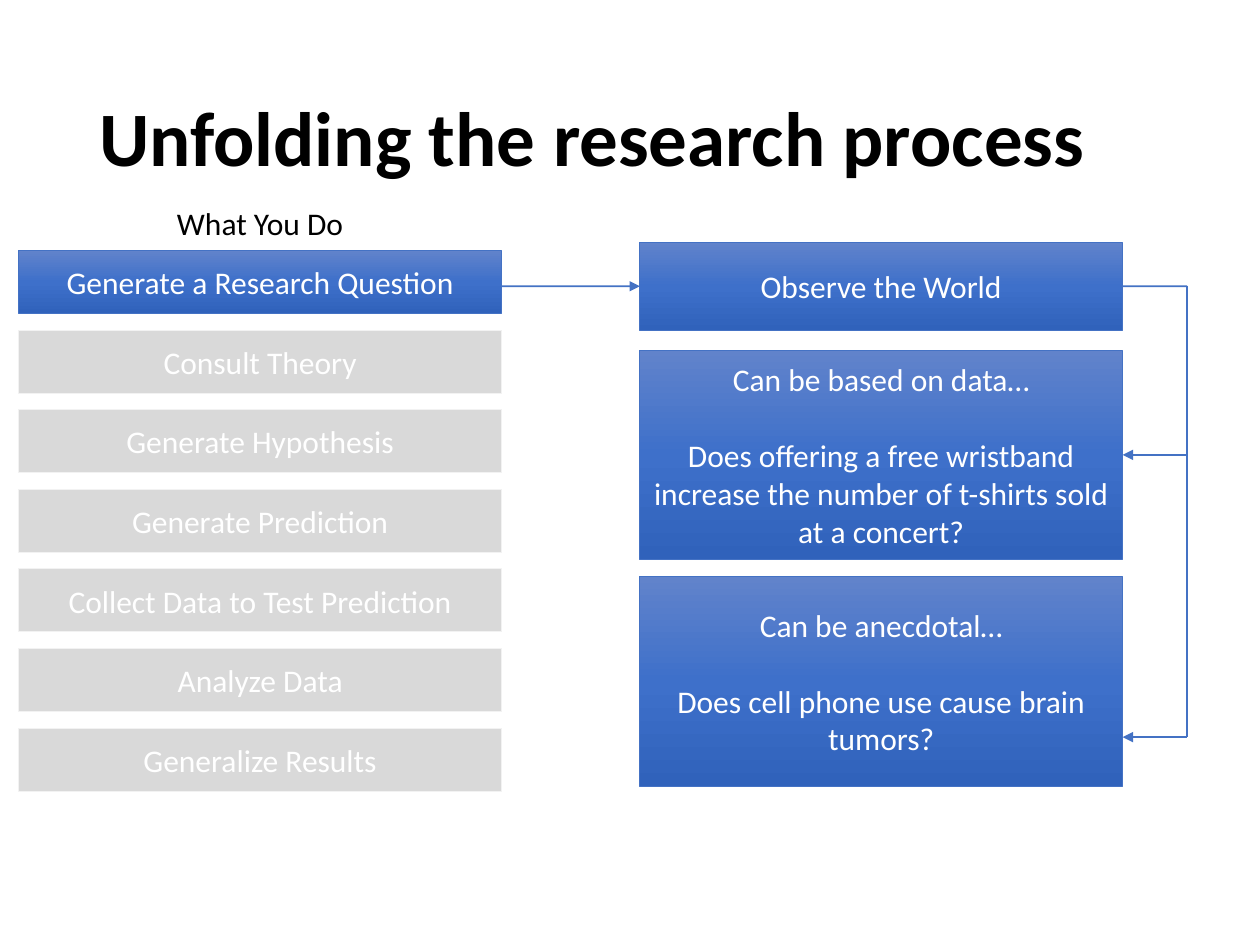
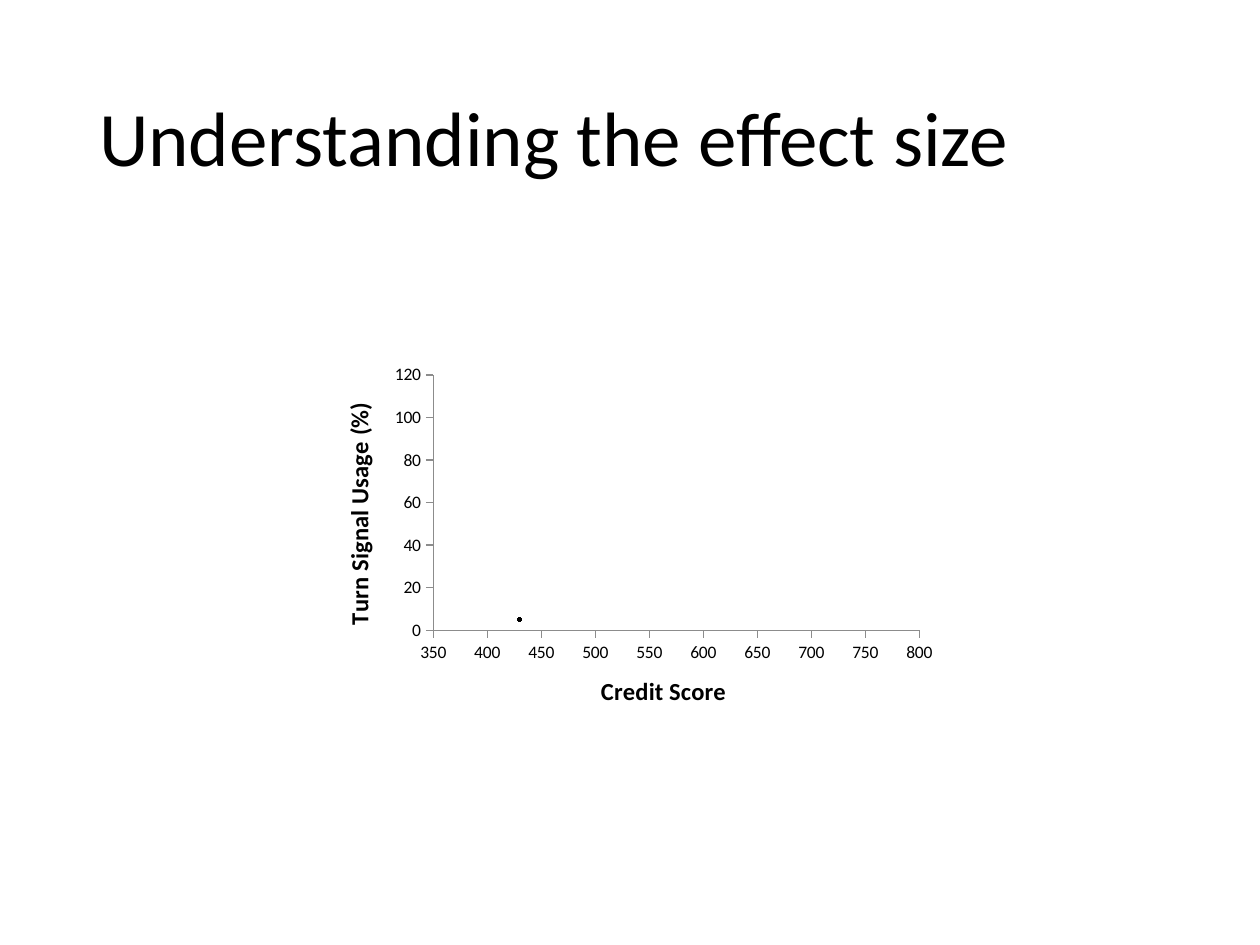
from pptx import Presentation
from pptx.chart.data import XyChartData
from pptx.dml.color import RGBColor
from pptx.enum.chart import XL_CHART_TYPE as ChartType, XL_MARKER_STYLE as Marker, XL_TICK_MARK as Tick
from pptx.enum.shapes import MSO_CONNECTOR as Connector, MSO_SHAPE as Shape
from pptx.enum.text import MSO_ANCHOR as Anchor, PP_ALIGN as Align
from pptx.oxml.ns import qn
from pptx.util import Cm, Pt
from lxml.etree import SubElement

FONT = "Calibri"
COLORS = {
    "ink": "000000", "white": "FFFFFF", "blue": "4472C4",
    "blue_top": "6183CB", "blue_mid": "3E70CA", "blue_bottom": "3062BB",
    "grey": "D9D9D9", "grey_edge": "F2F2F2", "axis": "8C8C8C",
}

# Process diagram, in cm
BOX_W = 9.73
STEP_X, STEP_TOP, STEP_LAST, STEP_H = 0.38, 5.05, 14.68, 1.27
DETAIL_X = 12.9
RAIL_X = 23.93
STEPS = ["Generate a Research Question", "Consult Theory", "Generate Hypothesis",
         "Generate Prediction", "Collect Data to Test Prediction", "Analyze Data",
         "Generalize Results"]


def rgb(name):
    return RGBColor.from_string(COLORS[name])


def style_font(font, size, color="ink", bold=False):
    font.name, font.size, font.bold = FONT, Pt(size), bold
    font.color.rgb = rgb(color)


def write(sp, paragraphs, size, color="ink", bold=False, align=Align.CENTER):
    tf = sp.text_frame
    tf.word_wrap = True
    tf.vertical_anchor = Anchor.MIDDLE
    tf.text = "\n".join(paragraphs)
    for i, p in enumerate(tf.paragraphs):
        p.alignment = align
        if i:
            p.space_before = Pt(size * 1.2)
        for r in p.runs:
            style_font(r.font, size, color, bold)
    return tf


def add_text(slide, x, y, w, h, text, size, **look):
    sp = slide.shapes.add_textbox(Cm(x), Cm(y), Cm(w), Cm(h))
    return write(sp, [text], size, **look)


def add_title(slide, text, bold=False):
    tf = add_text(slide, 1.75, 1.01, 21.9, 3.68, text, 44, bold=bold, align=Align.LEFT)
    tf.paragraphs[0].line_spacing = 0.9


def fill_blue(sp):
    """Vertical gradient with three stops."""
    fill = sp.fill
    fill.gradient()
    fill.gradient_angle = 270
    stops = sp._element.spPr.find(qn("a:gradFill")).find(qn("a:gsLst"))
    for stop in list(stops):
        stops.remove(stop)
    for pos, name in ((0, "blue_top"), (50, "blue_mid"), (100, "blue_bottom")):
        stop = SubElement(stops, qn("a:gs"), pos=str(pos * 1000))
        SubElement(stop, qn("a:srgbClr"), val=COLORS[name])


def add_box(slide, x, y, h, paragraphs, active=True):
    sp = slide.shapes.add_shape(Shape.RECTANGLE, Cm(x), Cm(y), Cm(BOX_W), Cm(h))
    sp.shadow.inherit = False
    if active:
        fill_blue(sp)
    else:
        sp.fill.solid()
        sp.fill.fore_color.rgb = rgb("grey")
    sp.line.color.rgb = rgb("blue" if active else "grey_edge")
    sp.line.width = Pt(0.5)
    write(sp, paragraphs, 18, "white")
    return sp


def add_line(slide, x1, y1, x2, y2, arrow=False):
    line = slide.shapes.add_connector(Connector.STRAIGHT, Cm(x1), Cm(y1), Cm(x2), Cm(y2))
    line.line.color.rgb = rgb("blue")
    line.line.width = Pt(1)
    if arrow:
        SubElement(line.line._get_or_add_ln(), qn("a:tailEnd"), type="triangle")
    SubElement(line._element.spPr, qn("a:effectLst"))
    return line


def style_axis(axis, title, low, high, step):
    axis.minimum_scale, axis.maximum_scale, axis.major_unit = low, high, step
    axis.has_major_gridlines = False
    axis.major_tick_mark, axis.minor_tick_mark = Tick.OUTSIDE, Tick.NONE
    axis.format.line.color.rgb = rgb("axis")
    axis.format.line.width = Pt(0.75)
    style_font(axis.tick_labels.font, 10)
    tf = axis.axis_title.text_frame
    tf.text = title
    style_font(tf.paragraphs[0].runs[0].font, 14, bold=True)


def add_scatter(slide, x, y, w, h, points):
    data = XyChartData()
    series = data.add_series("Series 1")
    for point in points:
        series.add_data_point(*point)
    chart = slide.shapes.add_chart(ChartType.XY_SCATTER, Cm(x), Cm(y), Cm(w), Cm(h), data).chart
    chart.has_title = chart.has_legend = False
    style_font(chart.font, 10)
    plot = chart.plots[0]
    plot.vary_by_categories = False
    dots = plot.series[0]
    dots.smooth = False
    dots.format.line.fill.background()
    dots.marker.style, dots.marker.size = Marker.CIRCLE, 2
    dots.marker.format.fill.solid()
    dots.marker.format.fill.fore_color.rgb = rgb("ink")
    dots.marker.format.line.fill.background()
    style_axis(chart.category_axis, "Credit Score", 350, 800, 50)
    style_axis(chart.value_axis, "Turn Signal Usage (%)", 0, 120, 20)


def build_process(slide):
    add_title(slide, "Unfolding the research process", bold=True)

    # Steps, with the current one highlighted
    add_text(slide, STEP_X, 3.91, BOX_W, 1.17, "What You Do", 18)
    pitch = (STEP_LAST - STEP_TOP) / (len(STEPS) - 1)
    for i, step in enumerate(STEPS):
        add_box(slide, STEP_X, STEP_TOP + i * pitch, STEP_H, [step], active=i == 0)

    # Details of the current step
    observe = add_box(slide, DETAIL_X, 4.88, 1.78, ["Observe the World"])
    data = add_box(slide, DETAIL_X, 7.06, 4.22, [
        "Can be based on data…",
        "Does offering a free wristband increase the number of t-shirts sold at a concert?"])
    add_box(slide, DETAIL_X, 11.63, 4.22, [
        "Can be anecdotal…", "Does cell phone use cause brain tumors?"])

    # Arrow from step to details, then the rail on the right
    observe_y, data_y, anecdote_y = 5.77, 9.17, 14.86
    right = DETAIL_X + BOX_W
    add_line(slide, STEP_X + BOX_W, observe_y, DETAIL_X, observe_y, arrow=True).end_connect(observe, 1)
    add_line(slide, right, observe_y, RAIL_X, observe_y).begin_connect(observe, 3)
    add_line(slide, RAIL_X, observe_y, RAIL_X, data_y)
    add_line(slide, RAIL_X, data_y, RAIL_X, anecdote_y)
    add_line(slide, RAIL_X, data_y, right, data_y, arrow=True).end_connect(data, 3)
    add_line(slide, RAIL_X, anecdote_y, right, anecdote_y, arrow=True)


def build_effect_size(slide):
    add_title(slide, "Understanding the effect size")
    add_scatter(slide, 6.35, 7.21, 12.7, 7.62, [(430, 5)])


def main():
    prs = Presentation()
    prs.slide_width, prs.slide_height = Cm(25.4), Cm(19.05)
    blank = prs.slide_layouts[6]
    for build in (build_process, build_effect_size):
        build(prs.slides.add_slide(blank))
    prs.save("out.pptx")


if __name__ == "__main__":
    main()
